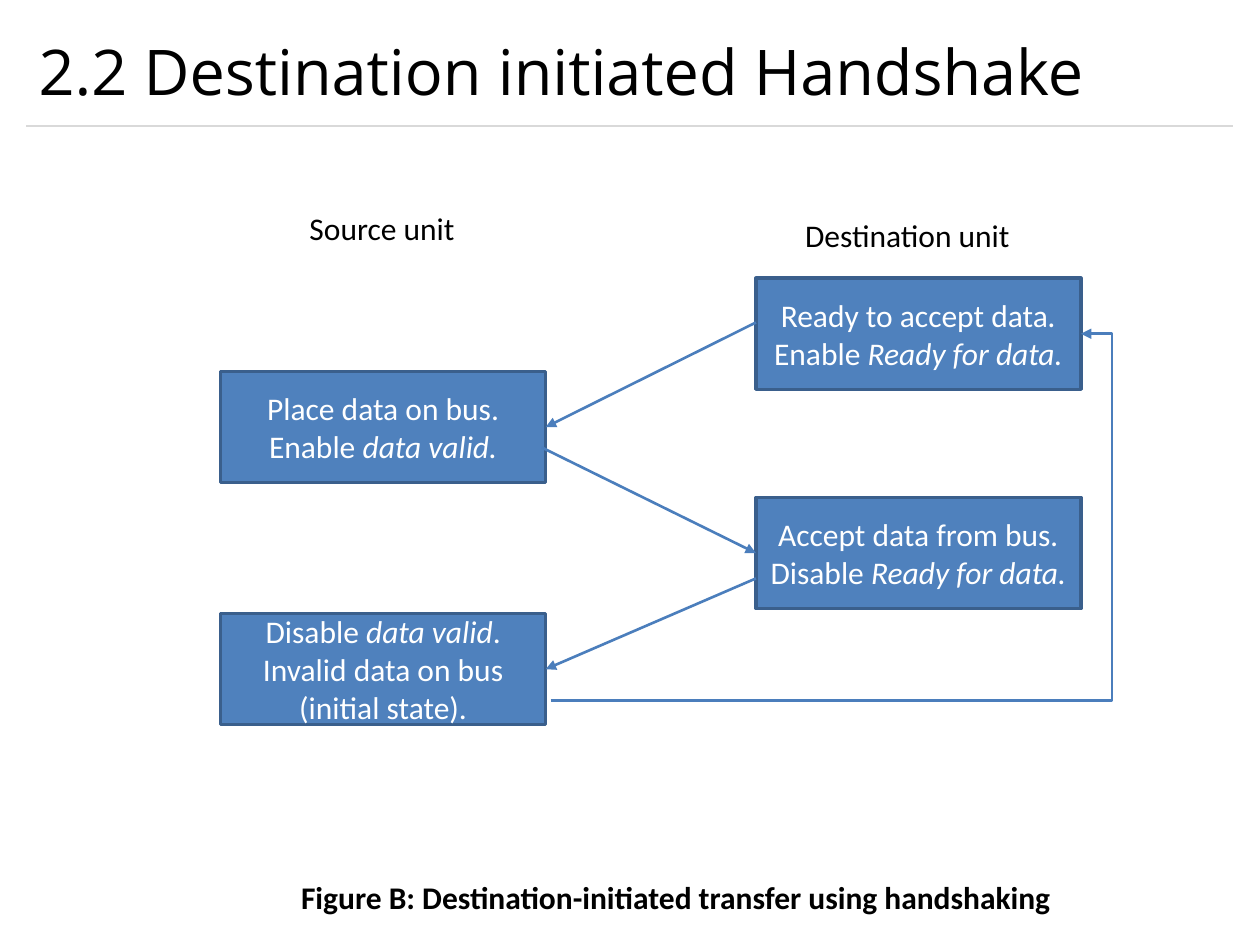
from collections import namedtuple

from lxml.etree import SubElement
from pptx import Presentation
from pptx.dml.color import RGBColor
from pptx.enum.shapes import MSO_CONNECTOR as Link, MSO_SHAPE as Preset
from pptx.enum.text import MSO_ANCHOR as Anchor, PP_ALIGN as Align
from pptx.oxml.ns import qn
from pptx.util import Cm, Pt

BLACK = RGBColor(0x00, 0x00, 0x00)
WHITE = RGBColor(0xFF, 0xFF, 0xFF)
RULE = RGBColor(0xD9, 0xD9, 0xD9)
BLUE = RGBColor(0x4F, 0x81, 0xBD)
EDGE = RGBColor(0x3A, 0x5F, 0x8C)
ARROW = RGBColor(0x4B, 0x7E, 0xBC)

Box = namedtuple("Box", "left top width height")  # centimetres

BODY = {"name": "Calibri", "size": Pt(18)}
TITLE = {"name": "Open Sans", "size": Pt(36)}

STEP_WIDTH, STEP_HEIGHT = 6.55, 2.24
SOURCE, DESTINATION = 0, 10.79  # column offsets inside the diagram

# Column, top, and lines made of (text, italic) spans
STEPS = [
    (SOURCE, 3.4, [[("Place data on bus.", False)],
                   [("Enable ", False), ("data valid.", True)]]),
    (DESTINATION, 1.52, [[("Ready to accept data", False), (".", True)],
                         [("Enable", False), (" Ready for data.", True)]]),
    (DESTINATION, 5.94, [[("Accept data from bus", False), (".", True)],
                         [("Disable", False), (" Ready for data.", True)]]),
    (SOURCE, 8.28, [[("Disable ", False), ("data valid", True), (".", False)],
                    [("Invalid data on bus", False)],
                    [("(initial state).", False)]]),
]
UNIT_LABELS = [("Source unit", Box(1.54, 0, 3.48, 1.02)),
               ("Destination unit", Box(11.53, 0.15, 5.08, 1.8))]
STRAIGHT_ARROWS = [((10.79, 2.41), (6.55, 4.52)),
                   ((6.47, 4.93), (10.79, 7.06)),
                   ((10.79, 7.57), (6.55, 9.4))]
RETURN_ARROW = ((6.65, 10.03), (17.34, 2.64))
RETURN_BEND = 105900  # how far the bend lies beyond the end, of 100000


def inside(region, part):
    """Move a part given relative to a region onto the page."""
    return part._replace(left=region.left + part.left,
                         top=region.top + part.top)


def write(shape, lines, color, font, align=Align.LEFT, anchor=Anchor.TOP):
    frame = shape.text_frame
    frame.word_wrap = True
    frame.vertical_anchor = anchor
    for number, spans in enumerate(lines):
        para = frame.add_paragraph() if number else frame.paragraphs[0]
        para.alignment = align
        for text, italic in spans:
            span = para.add_run()
            span.text = text
            span.font.color.rgb = color
            for name, value in {**font, "italic": italic}.items():
                setattr(span.font, name, value)


def add_label(page, box, text, font, anchor=Anchor.TOP):
    label = page.shapes.add_textbox(*map(Cm, box))
    write(label, [[(text, False)]], BLACK, font, anchor=anchor)


def add_line(page, start, end, color, weight, kind=Link.STRAIGHT, head=False):
    line = page.shapes.add_connector(kind, *map(Cm, (*start, *end)))
    line.line.color.rgb = color
    line.line.width = Pt(weight)
    if head:
        SubElement(line.line._get_or_add_ln(), qn("a:tailEnd"), type="triangle")
    SubElement(line._element.spPr, qn("a:effectLst"))
    return line


def add_step(page, box, lines):
    step = page.shapes.add_shape(Preset.RECTANGLE, *map(Cm, box))
    step.shadow.inherit = False
    step.fill.solid()
    step.fill.fore_color.rgb = BLUE
    step.line.color.rgb = EDGE
    step.line.width = Pt(2)
    write(step, lines, WHITE, BODY, Align.CENTER, Anchor.MIDDLE)


def add_heading(page, box):
    bottom = box.top + box.height
    add_line(page, (box.left, bottom), (box.left + box.width, bottom), RULE, 0.75)
    add_label(page, box, "2.2 Destination initiated Handshake", TITLE, Anchor.MIDDLE)


def add_diagram(page, region):
    def place(point):
        return region.left + point[0], region.top + point[1]

    # Unit names and steps
    for text, part in UNIT_LABELS:
        add_label(page, inside(region, part), text, BODY)
    for column, top, lines in STEPS:
        part = Box(column, top, STEP_WIDTH, STEP_HEIGHT)
        add_step(page, inside(region, part), lines)

    # Handshake signals
    for start, end in STRAIGHT_ARROWS:
        add_line(page, place(start), place(end), ARROW, 1.5, head=True)

    # Return to the first step
    start, end = RETURN_ARROW
    back = add_line(page, place(start), place(end), ARROW, 1.5, Link.ELBOW, True)
    guides = back._element.spPr.find(qn("a:prstGeom")).get_or_add_avLst()
    SubElement(guides, qn("a:gd"), name="adj1", fmla=f"val {RETURN_BEND}")


def main():
    deck = Presentation()
    deck.slide_width, deck.slide_height = Cm(25.4), Cm(19.05)
    page = deck.slides.add_slide(deck.slide_layouts[6])
    add_heading(page, Box(0.53, 0.3, 24.33, 2.24))
    add_diagram(page, Box(4.45, 4.09, 17.98, 10.52))
    # Caption
    add_label(page, Box(5.82, 17.58, 18.11, 1.02),
              "Figure B: Destination-initiated transfer using handshaking",
              {**BODY, "bold": True})
    deck.save("out.pptx")


if __name__ == "__main__":
    main()
